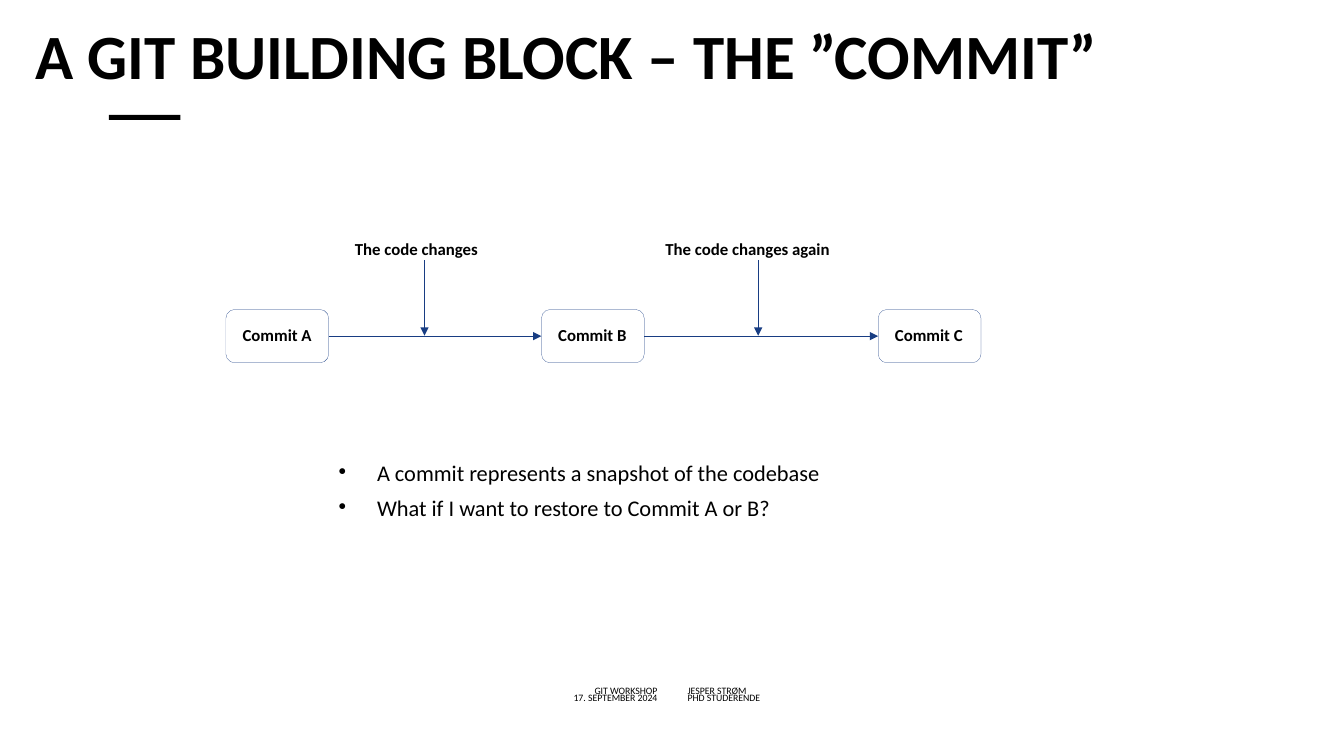
"""Build a slide that explains the commit as a Git building block."""
from lxml.etree import SubElement
from pptx import Presentation
from pptx.dml.color import RGBColor
from pptx.enum.shapes import MSO_CONNECTOR, MSO_SHAPE
from pptx.enum.text import MSO_ANCHOR, PP_ALIGN
from pptx.oxml.ns import qn
from pptx.util import Inches, Pt

BLACK = RGBColor(0x00, 0x00, 0x00)
BLUE = RGBColor(0x18, 0x3D, 0x83)
HAIRLINE = Pt(0.14)


def write(frame, lines, size, bold=False, align=PP_ALIGN.LEFT, spacing=0.95):
    """Fill a text frame with one paragraph per line."""
    frame.margin_left = frame.margin_top = frame.margin_right = frame.margin_bottom = 0
    frame.word_wrap = True
    frame.text = "\n".join(lines)
    for paragraph in frame.paragraphs:
        paragraph.alignment = align
        paragraph.line_spacing = spacing
        paragraph.font.name = "Calibri"
        paragraph.font.size = Pt(size)
        paragraph.font.bold = bold
        paragraph.font.color.rgb = BLACK


def add_arrow(x1, y1, x2, y2):
    """Draw a thin blue arrow between two points given in inches."""
    arrow = slide.shapes.add_connector(
        MSO_CONNECTOR.STRAIGHT, Inches(x1), Inches(y1), Inches(x2), Inches(y2))
    arrow.line.color.rgb = BLUE
    arrow.line.width = HAIRLINE
    SubElement(arrow.line._get_or_add_ln(), qn("a:tailEnd"), type="triangle")
    SubElement(arrow._element.spPr, qn("a:effectLst"))
    return arrow


prs = Presentation()
prs.slide_width = Inches(13.33)
prs.slide_height = Inches(7.5)
slide = prs.slides.add_slide(prs.slide_layouts[6])

footer = [
    ("GIT WORKSHOP", 4.04, 6.8, 2.48, PP_ALIGN.RIGHT),
    ("JESPER STRØM", 6.82, 6.8, 3.26, PP_ALIGN.LEFT),
    ("17. SEPTEMBER 2024", 4.04, 6.87, 2.48, PP_ALIGN.RIGHT),
    ("PHD STUDERENDE", 6.82, 6.87, 3.26, PP_ALIGN.LEFT),
]
for text, left, top, width, align in footer:
    entry = slide.shapes.add_textbox(Inches(left), Inches(top), Inches(width), Inches(0.12))
    write(entry.text_frame, [text], 7, align=align)

title = slide.shapes.add_textbox(Inches(0.35), Inches(0.25), Inches(12.64), Inches(0.82))
write(title.text_frame, ["A GIT BUILDING BLOCK – THE ”COMMIT”"], 45, bold=True, spacing=0.89)

title_bar = slide.shapes.add_shape(
    MSO_SHAPE.RECTANGLE, Inches(1.08), Inches(1.14), Inches(0.71), Inches(0.05))
title_bar.shadow.inherit = False
title_bar.fill.solid()
title_bar.fill.fore_color.rgb = BLACK
title_bar.line.fill.background()

commits = []
for name, left in [("Commit A", 2.24), ("Commit B", 5.37), ("Commit C", 8.71)]:
    commit = slide.shapes.add_shape(
        MSO_SHAPE.ROUNDED_RECTANGLE, Inches(left), Inches(3.07), Inches(1.02), Inches(0.53))
    commit.shadow.inherit = False
    commit.fill.background()
    commit.line.color.rgb = BLUE
    commit.line.width = HAIRLINE
    write(commit.text_frame, [name], 12, bold=True)
    commit.text_frame.margin_left = Inches(0.14)
    commit.text_frame.word_wrap = False
    commit.text_frame.vertical_anchor = MSO_ANCHOR.MIDDLE
    commits.append(commit)

for earlier, later in zip(commits, commits[1:]):
    step = add_arrow(0, 0, 1, 1)
    step.begin_connect(earlier, 3)
    step.end_connect(later, 1)

changes = [
    ("The code changes", 3.52, 1.39, 4.21),
    ("The code changes again", 6.6, 1.85, 7.52),
]
for text, left, width, arrow_x in changes:
    change = slide.shapes.add_textbox(Inches(left), Inches(2.38), Inches(width), Inches(0.19))
    write(change.text_frame, [text], 12, bold=True)
    change.text_frame.word_wrap = False
    add_arrow(arrow_x, 2.58, arrow_x, 3.33)

remarks = slide.shapes.add_textbox(Inches(3.36), Inches(4.57), Inches(5.24), Inches(1.52))
write(remarks.text_frame, [
    "A commit represents a snapshot of the codebase",
    "What if I want to restore to Commit A or B?",
], 16, spacing=0.99)
for remark in remarks.text_frame.paragraphs:
    remark.space_before = Pt(6)
    properties = remark._p.get_or_add_pPr()
    properties.set("marL", str(Inches(0.38)))
    properties.set("indent", str(-Inches(0.38)))
    bullet = properties.makeelement(qn("a:buChar"), {"char": "•"})
    properties.find(qn("a:defRPr")).addprevious(bullet)

prs.save("out.pptx")
